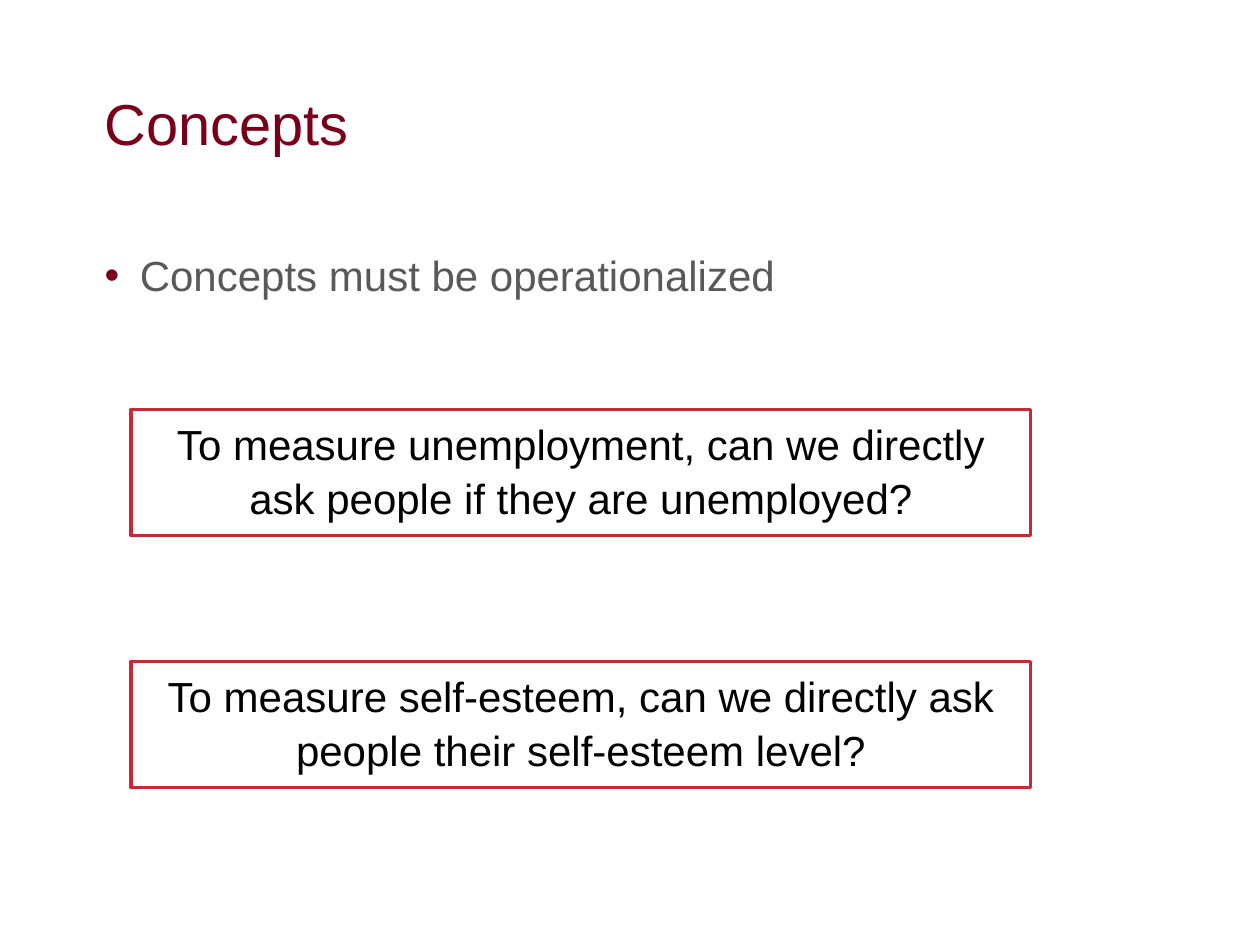
from lxml import etree
from pptx import Presentation, util as u
from pptx.dml.color import RGBColor
from pptx.enum import shapes, text
from pptx.oxml.ns import qn

WIDTH, HEIGHT = u.Inches(10), u.Inches(7.5)
MAROON, RED, GREY, BLACK, WHITE = "7A0019", "C82936", "595959", "000000", "FFFFFF"
QUESTIONS = (
    "To measure unemployment, can we directly ask people if they are unemployed?",
    "To measure self-esteem, can we directly ask people their self-esteem level?",
)


def color(hex_value):
    return RGBColor.from_string(hex_value)


def place(left, top, width, height):
    return tuple(int(share * side) for share, side in
                 zip((left, top, width, height), (WIDTH, HEIGHT) * 2))


def apply(target, formats):
    for name, value in formats.items():
        setattr(target, name, value)


def write(frame, wording, size, ink, align, anchor, side=0.1, edge=0.05):
    apply(frame, {"word_wrap": True, "vertical_anchor": anchor,
                  "margin_left": u.Inches(side), "margin_right": u.Inches(side),
                  "margin_top": u.Inches(edge), "margin_bottom": u.Inches(edge)})
    line = frame.paragraphs[0]
    apply(line, {"text": wording, "alignment": align, "line_spacing": 1.06})
    font = line.runs[0].font
    apply(font, {"name": "Arial", "size": u.Pt(size)})
    font.color.rgb = color(ink)
    return line


def add_bullet(line, ink, indent):
    properties = line._p.get_or_add_pPr()
    properties.set("marL", str(indent))
    properties.set("indent", str(-indent))
    tint = etree.SubElement(properties, qn("a:buClr"))
    etree.SubElement(tint, qn("a:srgbClr"), val=ink)
    etree.SubElement(properties, qn("a:buFont"), typeface="Arial")
    etree.SubElement(properties, qn("a:buChar"), char="•")


def add_heading(slide, box):
    heading = slide.shapes.add_textbox(*box)
    write(heading.text_frame, "Concepts", 33, MAROON, text.PP_ALIGN.LEFT,
          text.MSO_ANCHOR.MIDDLE, 0.08, 0.04)


def add_statement(slide, box):
    statement = slide.shapes.add_textbox(*box)
    line = write(statement.text_frame, "Concepts must be operationalized", 24, GREY,
                 text.PP_ALIGN.LEFT, text.MSO_ANCHOR.TOP, 0.08, 0.04)
    add_bullet(line, MAROON, u.Inches(0.28))


def add_question(slide, box, wording):
    question = slide.shapes.add_shape(shapes.MSO_SHAPE.RECTANGLE, *box)
    question.shadow.inherit = False
    question.fill.solid()
    question.fill.fore_color.rgb = color(WHITE)
    question.line.color.rgb = color(RED)
    question.line.width = u.Pt(2)
    write(question.text_frame, wording, 24, BLACK, text.PP_ALIGN.CENTER,
          text.MSO_ANCHOR.TOP)


def main():
    deck = Presentation()
    apply(deck, {"slide_width": WIDTH, "slide_height": HEIGHT})
    slide = deck.slides.add_slide(deck.slide_layouts[6])
    add_heading(slide, place(0.075, 0.33 / 7.5, 0.85, 1.25 / 7.5))
    add_statement(slide, place(0.075, 1.92 / 7.5, 0.85, 4.33 / 7.5))
    for row, wording in enumerate(QUESTIONS):
        top = (3.25 + 2 * row) / 7.5
        add_question(slide, place(0.104, top, 0.714, 1 / 7.5), wording)
    deck.save("out.pptx")


if __name__ == "__main__":
    main()
